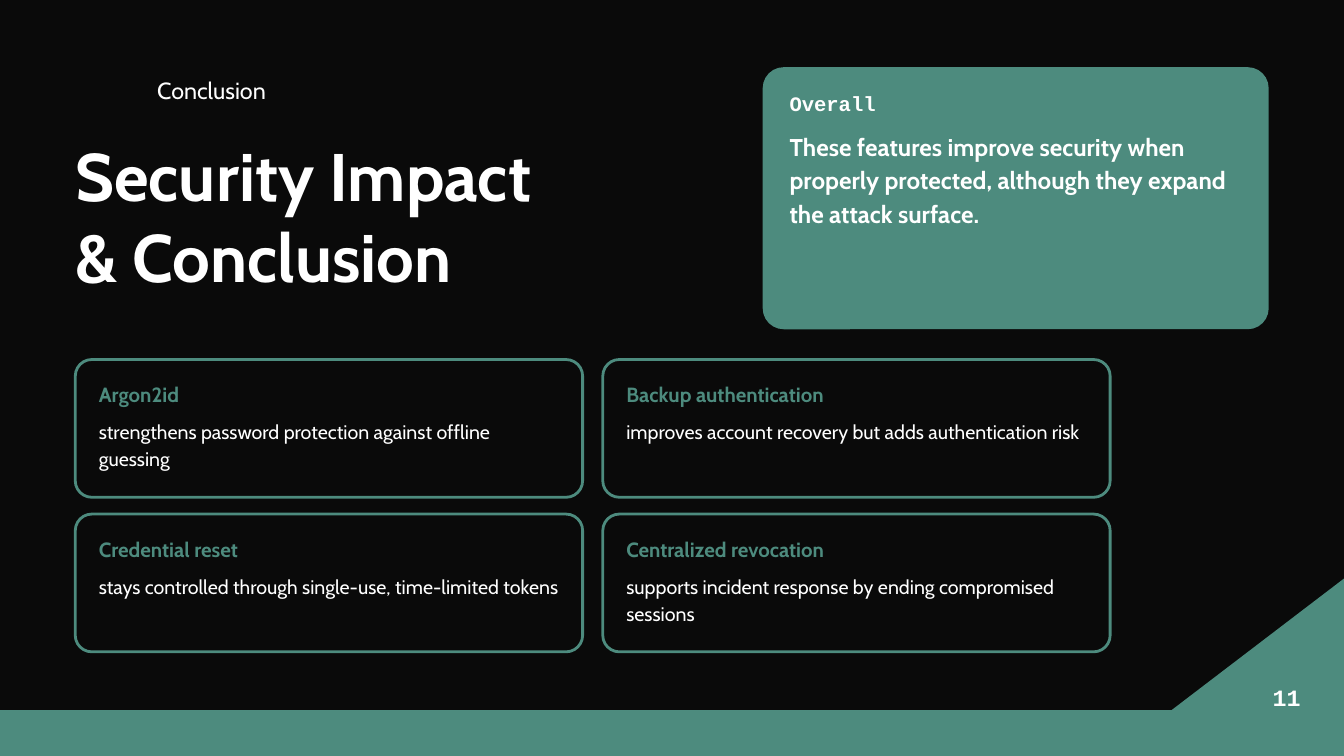
from dataclasses import dataclass

import pptx
import pptx.dml.color
import pptx.enum.shapes
import pptx.enum.text
import pptx.util
from pptx.util import Inches

COLORS = {"background": "0A0A0A", "accent": "4D8B7E", "text": "FFFFFF"}
SANS = "Cabin"
MONO = "Courier New"
ALIGN = pptx.enum.text.PP_ALIGN


@dataclass(frozen=True)
class Box:
    left: float
    top: float
    width: float
    height: float

    def emu(self) -> list[int]:
        return [Inches(v) for v in (self.left, self.top, self.width, self.height)]


@dataclass(frozen=True)
class TextStyle:
    size: float
    font: str = SANS
    color: str = "text"
    bold: bool = False
    spacing: float | pptx.util.Length | None = 1.15
    align: ALIGN | None = None


@dataclass(frozen=True)
class Finding:
    heading: str
    body: str


FIXED_LINE = pptx.util.Pt(35)
SECTION = TextStyle(25, spacing=FIXED_LINE)
PAGE_NUMBER = TextStyle(25, MONO, bold=True, spacing=FIXED_LINE, align=ALIGN.CENTER)
TITLE = TextStyle(72, bold=True, spacing=None)
SUMMARY_LABEL = TextStyle(22, MONO, bold=True)
SUMMARY = TextStyle(26, bold=True)
CARD_HEADING = TextStyle(22, color="accent", bold=True)
CARD_BODY = TextStyle(21)

FINDINGS = [
    Finding("Argon2id", "strengthens password protection against offline guessing"),
    Finding("Backup authentication", "improves account recovery but adds authentication risk"),
    Finding("Credential reset", "stays controlled through single-use, time-limited tokens"),
    Finding("Centralized revocation", "supports incident response by ending compromised sessions"),
]
CARD = Box(1.12, 5.35, 7.55, 2.05)
CARD_GAP_X = 0.3
CARD_GAP_Y = 0.25
CARD_PADDING = 0.35


def rgb(name: str) -> pptx.dml.color.RGBColor:
    return pptx.dml.color.RGBColor.from_string(COLORS[name])


def add_text(slide: pptx.slide.Slide, text: str, box: Box, style: TextStyle) -> None:
    tf = slide.shapes.add_textbox(*box.emu()).text_frame
    tf.margin_left = tf.margin_right = tf.margin_top = tf.margin_bottom = 0
    tf.word_wrap = True
    tf.auto_size = pptx.enum.text.MSO_AUTO_SIZE.SHAPE_TO_FIT_TEXT
    p = tf.paragraphs[0]
    p.text = text
    p.alignment = style.align
    p.line_spacing = style.spacing
    for r in p.runs:
        r.font.name = style.font
        r.font.size = pptx.util.Pt(style.size)
        r.font.bold = style.bold
        r.font.color.rgb = rgb(style.color)


def add_polygon(slide: pptx.slide.Slide, points: list[tuple[float, float]]) -> None:
    start, *rest = [(Inches(x), Inches(y)) for x, y in points]
    builder = slide.shapes.build_freeform(*start)
    builder.add_line_segments(rest, close=True)
    sp = builder.convert_to_shape()
    sp.shadow.inherit = False
    sp.fill.solid()
    sp.fill.fore_color.rgb = rgb("accent")
    sp.line.fill.background()


def add_panel(slide: pptx.slide.Slide, box: Box, radius: float, filled: bool) -> None:
    """Add a rounded panel, either filled or outlined in the accent colour."""
    sp = slide.shapes.add_shape(pptx.enum.shapes.MSO_SHAPE.ROUNDED_RECTANGLE, *box.emu())
    sp.adjustments[0] = radius
    sp.shadow.inherit = False
    if filled:
        sp.fill.solid()
        sp.fill.fore_color.rgb = rgb("accent")
        sp.line.fill.background()
    else:
        sp.fill.background()
        sp.line.color.rgb = rgb("accent")
        sp.line.width = pptx.util.Pt(3)


def add_card(slide: pptx.slide.Slide, finding: Finding, box: Box) -> None:
    add_panel(slide, box, 0.12, filled=False)
    left = box.left + CARD_PADDING
    width = box.width - 2 * CARD_PADDING
    add_text(slide, finding.heading, Box(left, box.top + 0.28, width, 0.5), CARD_HEADING)
    add_text(slide, finding.body, Box(left, box.top + 0.85, width, 1.1), CARD_BODY)


def main() -> None:
    prs = pptx.Presentation()
    prs.slide_width = Inches(20)
    prs.slide_height = Inches(11.25)
    slide = prs.slides.add_slide(prs.slide_layouts[6])
    slide.background.fill.solid()
    slide.background.fill.fore_color.rgb = rgb("background")

    add_polygon(slide, [(0, 10.56), (20, 10.56), (20, 11.25), (0, 11.25)])
    add_polygon(slide, [(20, 8.61), (20, 11.25), (16.54, 11.25)])

    add_text(slide, "Conclusion", Box(2.34, 1.07, 9, 0.46), SECTION)
    add_text(slide, "11", Box(18.67, 10.1, 0.95, 0.46), PAGE_NUMBER)
    add_text(slide, "Security Impact\n& Conclusion", Box(1.12, 2, 10, 4), TITLE)

    add_panel(slide, Box(11.35, 1, 7.53, 3.9), 0.08, filled=True)
    add_text(slide, "Overall", Box(11.75, 1.3, 6.8, 0.5), SUMMARY_LABEL)
    add_text(
        slide,
        "These features improve security when properly protected, "
        "although they expand the attack surface.",
        Box(11.75, 1.9, 6.8, 2.9),
        SUMMARY,
    )

    for i, finding in enumerate(FINDINGS):
        row, col = divmod(i, 2)
        left = CARD.left + col * (CARD.width + CARD_GAP_X)
        top = CARD.top + row * (CARD.height + CARD_GAP_Y)
        add_card(slide, finding, Box(left, top, CARD.width, CARD.height))

    prs.save("out.pptx")


if __name__ == "__main__":
    main()
